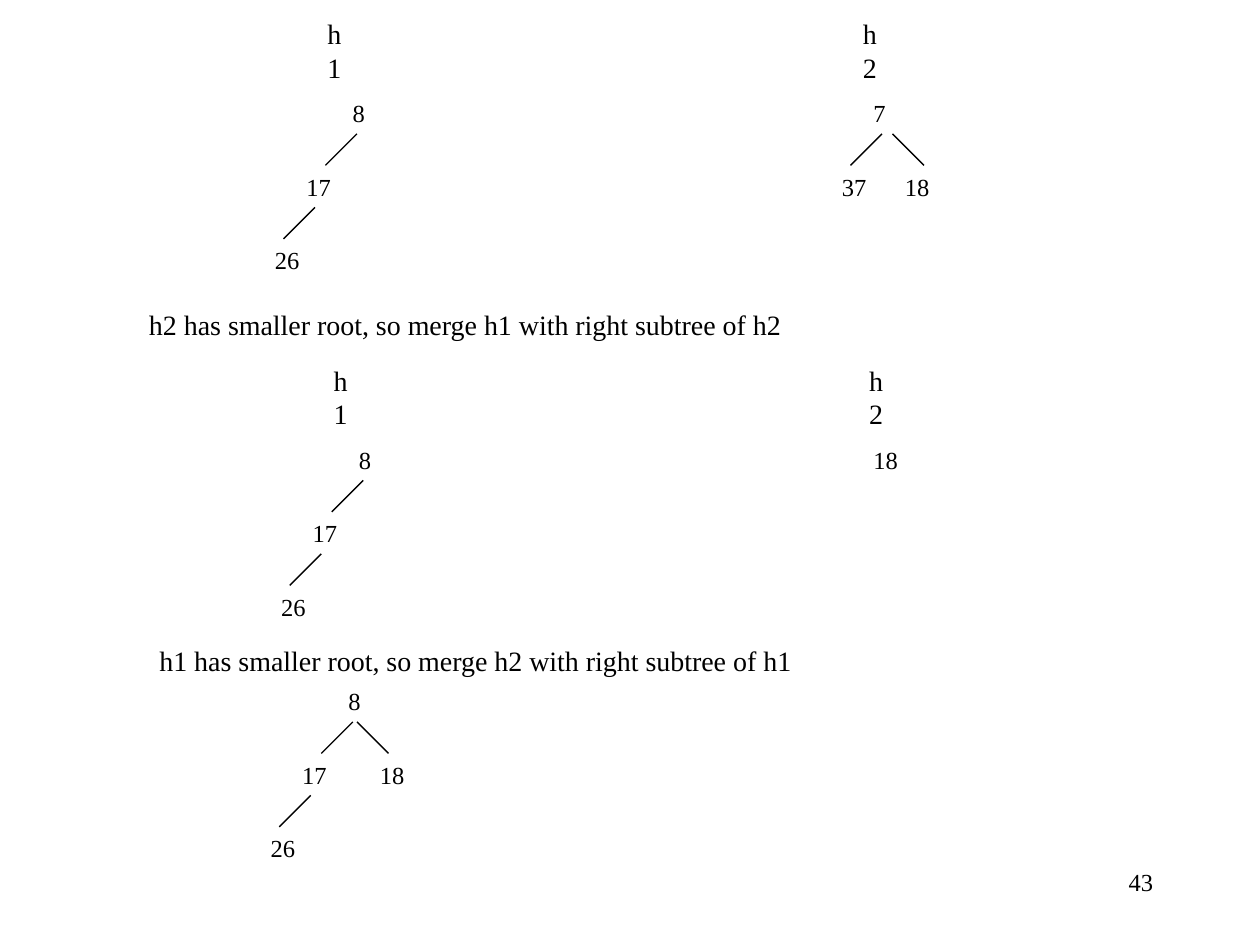
from dataclasses import dataclass
from typing import Any

import lxml.etree
import pptx
import pptx.dml.color
import pptx.enum.shapes
import pptx.enum.text
import pptx.oxml.ns
import pptx.util


@dataclass(frozen=True)
class Theme:
    font: str = "Times New Roman"
    ink: str = "000000"
    node_size: int = 14
    label_size: int = 16
    line_width: float = 0.75


@dataclass(frozen=True)
class Node:
    value: str
    offset: float = 0
    edge_start: float = 0
    children: tuple["Node", ...] = ()


@dataclass(frozen=True)
class Tree:
    column: float
    row: float
    root: Node


@dataclass(frozen=True)
class Label:
    text: str
    column: float
    row: float
    width: float = 5


THEME = Theme()
COLUMNS, ROWS = 120, 90
WIDTH, HEIGHT = pptx.util.Inches(10), pptx.util.Inches(7.5)
NODE_HEIGHT, EDGE_SIZE, LABEL_HEIGHT = 4, 3, 4.4
LEVEL_STEP = NODE_HEIGHT + EDGE_SIZE
DIGIT_WIDTH, NODE_PADDING = 1.2, 2.4
CAPTION_WIDTH = 63

LEFT_CHAIN = Node("17", -4.4, 1.6, (Node("26", -3, 2),))
H1 = Node("8", children=(LEFT_CHAIN,))
H2 = Node("7", children=(Node("37", -3, 2), Node("18", 3, 3)))
MERGED = Node("8", children=(LEFT_CHAIN, Node("18", 3, 2)))

TREES = (
    Tree(32.4, 8.75, H1),
    Tree(82, 8.75, H2),
    Tree(33, 41.75, H1),
    Tree(82, 41.75, Node("18")),
    Tree(32, 64.75, MERGED),
)
LABELS = (
    Label("h1", 30, 1),
    Label("h2", 81, 1),
    Label("h2 has smaller root, so merge h1 with right subtree of h2", 13, 28.67, CAPTION_WIDTH),
    Label("h1", 30.6, 34),
    Label("h2", 81.6, 34),
    Label("h1 has smaller root, so merge h2 with right subtree of h1", 14, 60.67, CAPTION_WIDTH),
)


def across(columns: float) -> int:
    return round(WIDTH * columns / COLUMNS)


def down(rows: float) -> int:
    return round(HEIGHT * rows / ROWS)


def apply_format(target: Any, values: dict[str, Any]) -> None:
    for name, value in values.items():
        setattr(target, name, value)


def add_text(slide: Any, text: str, column: float, row: float, width: float,
             height: float, size: int, fixed: bool = False) -> Any:
    shape = slide.shapes.add_textbox(across(column), down(row), across(width), down(height))
    fit = pptx.enum.text.MSO_AUTO_SIZE
    apply_format(shape.text_frame, {
        "text": text,
        "word_wrap": fixed,
        "auto_size": fit.NONE if fixed else fit.SHAPE_TO_FIT_TEXT,
    })
    font = shape.text_frame.paragraphs[0].runs[0].font
    apply_format(font, {"name": THEME.font, "size": pptx.util.Pt(size)})
    font.color.rgb = pptx.dml.color.RGBColor.from_string(THEME.ink)
    return shape


def add_edge(slide: Any, column: float, row: float, direction: int) -> None:
    connector = slide.shapes.add_connector(
        pptx.enum.shapes.MSO_CONNECTOR.STRAIGHT,
        across(column), down(row),
        across(column + direction * EDGE_SIZE), down(row + EDGE_SIZE))
    connector.line.width = pptx.util.Pt(THEME.line_width)
    connector.line.color.rgb = pptx.dml.color.RGBColor.from_string(THEME.ink)
    properties = connector.element.find(pptx.oxml.ns.qn("p:spPr"))
    lxml.etree.SubElement(properties, pptx.oxml.ns.qn("a:effectLst"))


def draw_node(slide: Any, node: Node, column: float, row: float) -> None:
    width = NODE_PADDING + DIGIT_WIDTH * len(node.value)
    add_text(slide, node.value, column, row, width, NODE_HEIGHT, THEME.node_size)
    for child in node.children:
        direction = 1 if child.offset > 0 else -1
        add_edge(slide, column + child.edge_start, row + NODE_HEIGHT, direction)
        draw_node(slide, child, column + child.offset, row + LEVEL_STEP)


def main() -> None:
    presentation = pptx.Presentation()
    apply_format(presentation, {"slide_width": WIDTH, "slide_height": HEIGHT})
    slide = presentation.slides.add_slide(presentation.slide_layouts[6])
    for label in LABELS:
        add_text(slide, label.text, label.column, label.row, label.width,
                 LABEL_HEIGHT, THEME.label_size)
    for tree in TREES:
        draw_node(slide, tree.root, tree.column, tree.row)
    number = add_text(slide, "43", 89, 82, 22, 6, THEME.node_size, fixed=True)
    number.text_frame.paragraphs[0].alignment = pptx.enum.text.PP_ALIGN.RIGHT
    presentation.save("out.pptx")


if __name__ == "__main__":
    main()
